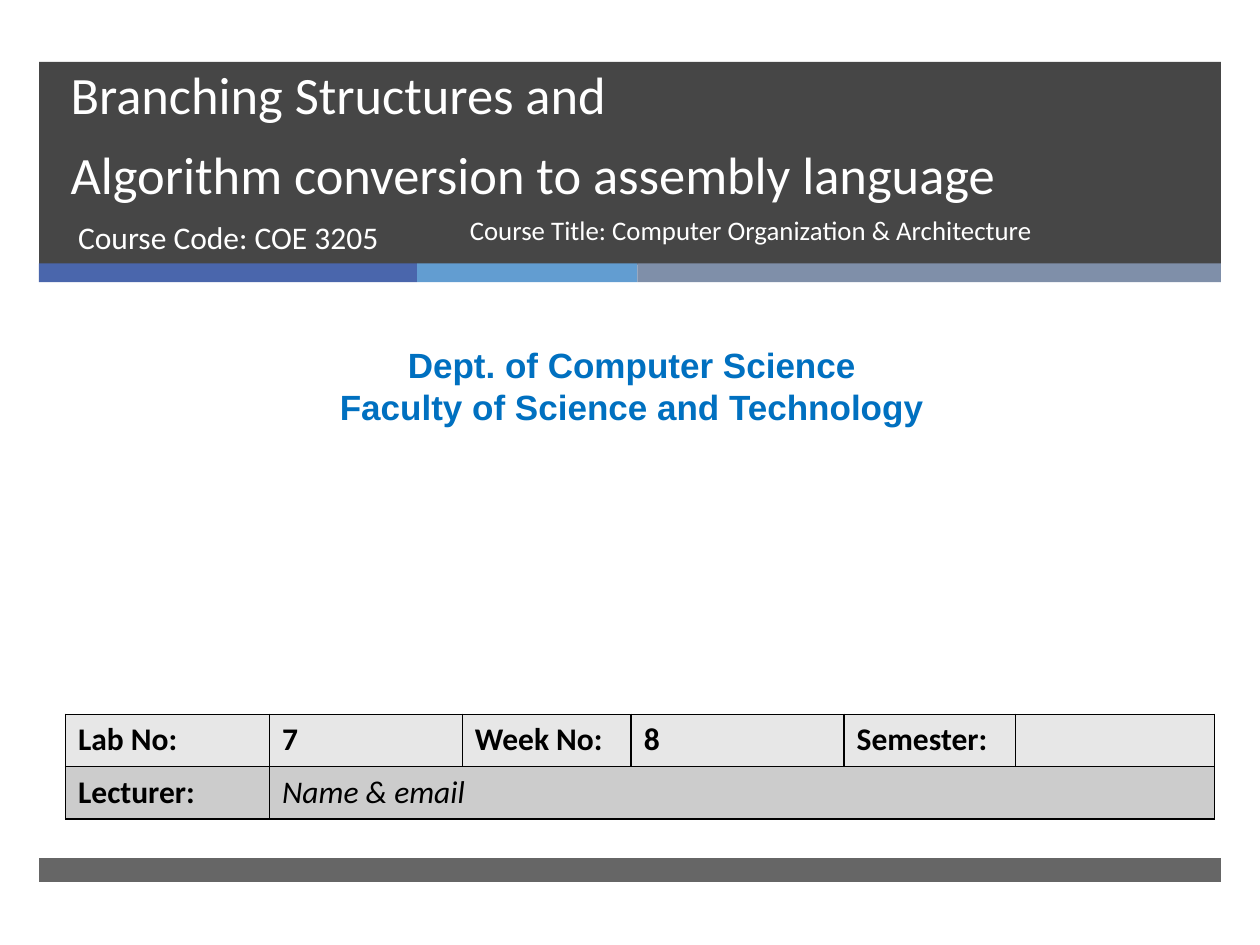
from dataclasses import dataclass

from lxml import etree
from pptx import Presentation
from pptx.dml.color import RGBColor
from pptx.enum.shapes import MSO_SHAPE
from pptx.enum.text import MSO_ANCHOR, MSO_AUTO_SIZE, PP_ALIGN
from pptx.oxml.ns import qn
from pptx.util import Pt

PX = 9144
RECT = MSO_SHAPE.RECTANGLE
TOP, BOTTOM = MSO_ANCHOR.TOP, MSO_ANCHOR.BOTTOM
LEFT, CENTER = PP_ALIGN.LEFT, PP_ALIGN.CENTER
NO_FIT = MSO_AUTO_SIZE.NONE


@dataclass(frozen=True)
class Theme:
    font: str = "Calibri"
    dept_font: str = "Arial"
    dark: str = "262626"
    blue: str = "4A66AC"
    sky: str = "629DD1"
    slate: str = "7F8FA9"
    white: str = "FFFFFF"
    black: str = "000000"
    dept: str = "0070C0"
    row_light: str = "E7E7E7"
    row_dark: str = "CCCCCC"
    title: float = 30
    dept_size: float = 20
    body: float = 18
    course: float = 15.3


T = Theme()


def write(tf, text, size=T.body, color=T.white, font=T.font, bold=False,
          italic=False, align=LEFT, anchor=TOP, spacing=1.0):
    tf.word_wrap = True
    tf.vertical_anchor = anchor
    tf.text = text
    for p in tf.paragraphs:
        p.alignment = align
        p.line_spacing = spacing
        p.space_before = Pt(0)
        for r in p.runs:
            r.font.size = Pt(size)
            r.font.name = font
            r.font.bold = bold
            r.font.italic = italic
            r.font.color.rgb = RGBColor.from_string(color)


def border(cell):
    tcPr = cell._tc.get_or_add_tcPr()
    for i, side in enumerate(("a:lnL", "a:lnR", "a:lnT", "a:lnB")):
        ln = etree.Element(qn(side), w=str(Pt(1)))
        fill = etree.SubElement(ln, qn("a:solidFill"))
        etree.SubElement(fill, qn("a:srgbClr"), val=T.black)
        tcPr.insert(i, ln)


prs = Presentation()
prs.slide_width, prs.slide_height = 1000 * PX, 750 * PX
s = prs.slides.add_slide(prs.slide_layouts[0])

bands = [
    (31, 49, 938, 161, T.dark, 85),
    (31, 209, 300, 15, T.blue, 100),
    (331, 209, 175, 15, T.sky, 100),
    (506, 209, 463, 15, T.slate, 100),
    (31, 681, 938, 19, T.dark, 70),
]
for x, y, w, h, color, opacity in bands:
    sp = s.shapes.add_shape(RECT, x * PX, y * PX, w * PX, h * PX)
    sp.shadow.inherit = False
    sp.line.fill.background()
    sp.fill.solid()
    sp.fill.fore_color.rgb = RGBColor.from_string(color)
    if opacity < 100:
        clr = sp.element.spPr.find(".//" + qn("a:srgbClr"))
        etree.SubElement(clr, qn("a:alpha"), val=str(opacity * 1000))

headings = [
    (s.shapes.title, (46, 49, 854, 119),
     "Branching Structures and\vAlgorithm conversion to assembly language",
     dict(size=T.title, anchor=BOTTOM, spacing=Pt(46))),
    (s.placeholders[1], (52, 168, 305, 53), "Course Code: COE 3205", {}),
]
for sp, box, text, fmt in headings:
    sp.left, sp.top, sp.width, sp.height = [v * PX for v in box]
    sp.text_frame.auto_size = NO_FIT
    write(sp.text_frame, text, **fmt)
    sp.element.getparent().append(sp.element)

boxes = [
    ((8, 268, 987, 77),
     "Dept. of Computer Science\nFaculty of Science and Technology",
     dict(size=T.dept_size, color=T.dept, font=T.dept_font, bold=True,
          align=CENTER)),
    ((363, 168, 469, 53),
     "Course Title: Computer Organization & Architecture",
     dict(size=T.course, spacing=0.9)),
]
for box, text, fmt in boxes:
    sp = s.shapes.add_textbox(*[v * PX for v in box])
    write(sp.text_frame, text, **fmt)

cols = [162, 153, 134, 169, 136, 158]
rows = [
    (T.row_light, ["Lab No:", "7", "Week No:", "8", "Semester:", ""]),
    (T.row_dark, ["Lecturer:", "Name & email", "", "", "", ""]),
]
row_h = 41.5
table = s.shapes.add_table(len(rows), len(cols), 52 * PX, 567 * PX,
                           sum(cols) * PX, 83 * PX).table
table.first_row = table.horz_banding = False
for col, w in zip(table.columns, cols):
    col.width = w * PX
for i, (fill, texts) in enumerate(rows):
    table.rows[i].height = int(row_h * PX)
    for j, text in enumerate(texts):
        cell = table.cell(i, j)
        cell.fill.solid()
        cell.fill.fore_color.rgb = RGBColor.from_string(fill)
        border(cell)
        if text:
            name = text == "Name & email"
            write(cell.text_frame, text, color=T.black, bold=not name,
                  italic=name)
table.cell(1, 1).merge(table.cell(1, 5))

prs.save("out.pptx")
